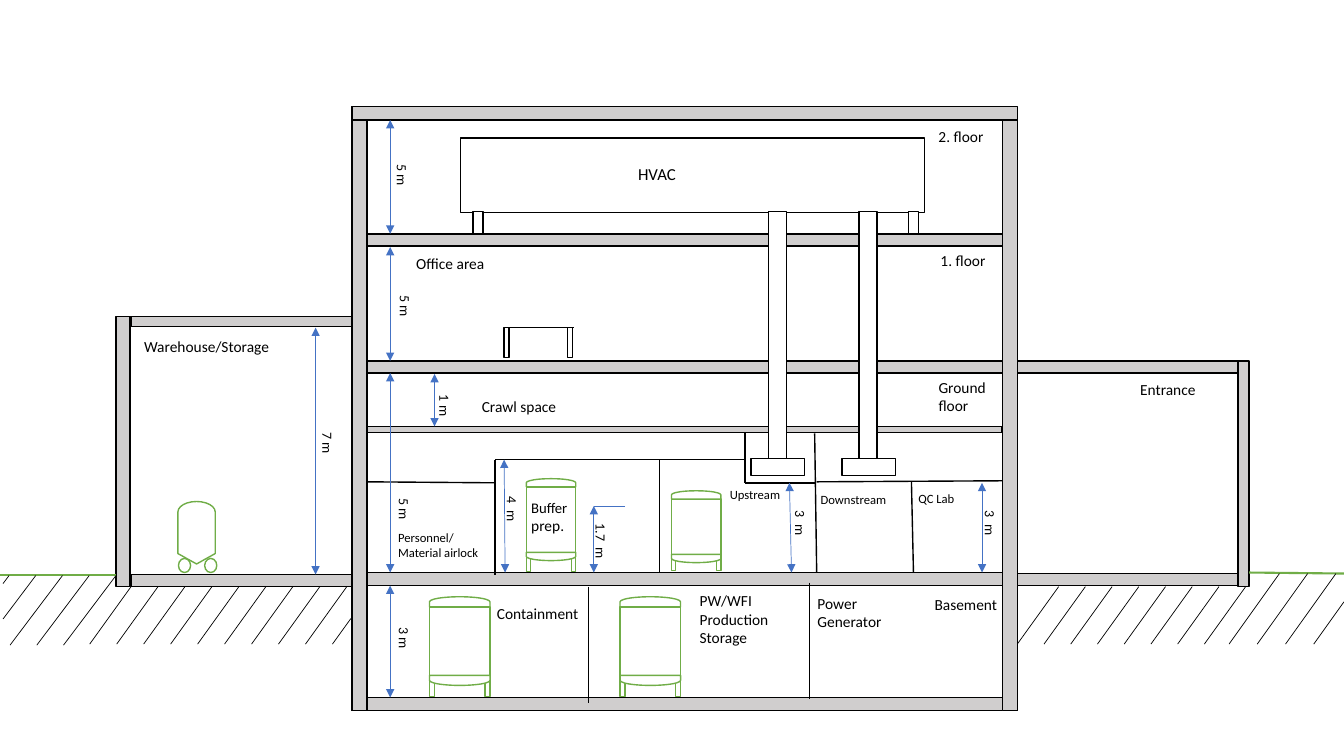
from itertools import pairwise

from lxml import etree
from pptx import Presentation
from pptx.dml.color import RGBColor
from pptx.enum import shapes, text
from pptx.oxml import ns
from pptx.util import Inches, Pt

BLACK = RGBColor(0, 0, 0)
WHITE = RGBColor(255, 255, 255)
CONCRETE = RGBColor(0xD0, 0xCE, 0xCE)
GREEN = RGBColor(0x70, 0xAD, 0x47)
BLUE = RGBColor(0x44, 0x72, 0xC4)
FONT = "Calibri"
KIND = shapes.MSO_SHAPE
PAGE_WIDTH, PAGE_HEIGHT = 13.33, 7.5

# Heights on the section, from the roof down
ROOF, SECOND_FLOOR, FIRST_FLOOR, CRAWL_FLOOR = 1.06, 2.32, 3.58, 4.23
GROUND_FLOOR, BASEMENT_FLOOR = 5.68, 6.92
WAREHOUSE_ROOF = 3.14
SLAB, THIN_SLAB = 0.13, 0.06
CRAWL_CEILING, GROUND_CEILING = FIRST_FLOOR + 0.12, CRAWL_FLOOR + 0.07
HIGH_CEILING, LOW_CEILING = 4.56, 4.79

# Places across the section
WALL = 0.15
OUTER_LEFT, OUTER_RIGHT = 3.49, 10.09
INNER_LEFT, INNER_RIGHT = OUTER_LEFT + WALL, OUTER_RIGHT - WALL
WAREHOUSE_LEFT, ENTRANCE_RIGHT = 1.15, 12.39
BUFFER_WALL, UPSTREAM_WALL, SHAFT_WALL = 4.91, 6.54, 7.39
DOWNSTREAM_WALL, LAB_WALL = 8.08, 9.04
CONTAINMENT_WALL, POWER_WALL = 5.84, 8.03

# left, top, right, bottom
CONCRETE_PARTS = {
    "base": (OUTER_LEFT, BASEMENT_FLOOR, OUTER_RIGHT, BASEMENT_FLOOR + SLAB),
    "left wall": (OUTER_LEFT, ROOF, INNER_LEFT, BASEMENT_FLOOR + SLAB),
    "ground floor": (INNER_LEFT, GROUND_FLOOR, OUTER_RIGHT, GROUND_FLOOR + SLAB),
    "first floor": (INNER_LEFT, FIRST_FLOOR, OUTER_RIGHT, CRAWL_CEILING),
    "crawl floor": (INNER_LEFT, CRAWL_FLOOR, INNER_RIGHT, CRAWL_FLOOR + THIN_SLAB),
    "second floor": (INNER_LEFT, SECOND_FLOOR, OUTER_RIGHT, SECOND_FLOOR + 0.12),
    "roof": (OUTER_LEFT, ROOF, OUTER_RIGHT, ROOF + SLAB),
    "right wall": (INNER_RIGHT, ROOF + SLAB, OUTER_RIGHT, BASEMENT_FLOOR + SLAB),
    "warehouse roof": (1.3, WAREHOUSE_ROOF, OUTER_LEFT, WAREHOUSE_ROOF + 0.1),
    "warehouse floor": (1.3, 5.7, OUTER_LEFT, 5.82),
    "warehouse wall": (WAREHOUSE_LEFT, WAREHOUSE_ROOF, 1.29, 5.82),
    "entrance roof": (OUTER_RIGHT, FIRST_FLOOR, 12.28, CRAWL_CEILING),
    "entrance floor": (OUTER_RIGHT, 5.69, 12.28, 5.81),
    "entrance wall": (12.28, FIRST_FLOOR, ENTRANCE_RIGHT, 5.82),
}

# Each wall or ceiling runs through its points
PARTITIONS = {
    "airlock ceiling": [(INNER_LEFT, 4.78), (BUFFER_WALL, LOW_CEILING)],
    "buffer and upstream": [
        (BUFFER_WALL, 5.7), (BUFFER_WALL, HIGH_CEILING), (UPSTREAM_WALL, HIGH_CEILING),
        (SHAFT_WALL, HIGH_CEILING), (SHAFT_WALL, LOW_CEILING), (DOWNSTREAM_WALL, LOW_CEILING)],
    "shaft": [(SHAFT_WALL, GROUND_CEILING), (SHAFT_WALL, HIGH_CEILING)],
    "upstream wall": [(UPSTREAM_WALL, HIGH_CEILING), (UPSTREAM_WALL, GROUND_FLOOR)],
    "downstream wall": [(DOWNSTREAM_WALL, GROUND_CEILING), (8.1, GROUND_FLOOR)],
    "lab wall": [(LAB_WALL, 4.78), (9.06, GROUND_FLOOR)],
    "lab ceiling": [(8.1, 4.78), (INNER_RIGHT, 4.77)],
    "containment wall": [(CONTAINMENT_WALL, 5.82), (CONTAINMENT_WALL, 6.97)],
    "power wall": [(POWER_WALL, 5.78), (POWER_WALL, 6.93)],
}

# body left, top, width and height, then where the legs end
TANKS = {
    "containment": (4.26, 6.02, 0.6, 0.68, 6.91),
    "buffer": (5.22, 4.83, 0.49, 0.65, 5.67),
    "upstream": (6.66, 4.95, 0.49, 0.55, 5.66),
    "water": (6.15, 6.02, 0.6, 0.68, 6.91),
}
DUCTS = [7.62, 8.52]

# words, arrow x at its top and foot, its top and foot, middle of the words
DIMENSIONS = [
    ("5 m", 3.87, 3.87, ROOF + SLAB, SECOND_FLOOR, 3.99, 1.86),
    ("5 m", 3.87, 3.87, 2.45, FIRST_FLOOR, 4.02, 3.16),
    ("1 m", 4.31, 4.31, 3.71, CRAWL_FLOOR, 4.41, 4.15),
    ("5 m", 3.87, 3.87, CRAWL_CEILING, GROUND_FLOOR, 4.01, 5.18),
    ("3 m", 3.87, 3.87, 5.81, BASEMENT_FLOOR, 4.01, 6.46),
    ("7 m", 3.13, 3.13, 3.25, 5.7, 3.25, 4.52),
    ("4  m", 5, 5.01, HIGH_CEILING, GROUND_FLOOR, 5.08, 5.16),
    ("1.7  m", 5.89, 5.89, 5.02, GROUND_FLOOR, 5.96, 5.43),
    ("3  m", 7.83, 7.85, LOW_CEILING, GROUND_FLOOR, 7.94, 5.3),
    ("3  m", 9.74, 9.74, LOW_CEILING, GROUND_FLOOR, 9.82, 5.3),
]

# size: words, left, top, width
LABELS = {
    9: [
        ("Upstream", 7.14, 4.78, 0.94),
        ("Downstream", 8.04, 4.83, 1.02),
        ("QC Lab", 9.01, 4.82, 1.02),
        ("Personnel/\nMaterial airlock", 3.85, 5.21, 1.38),
    ],
    11: [
        ("2. floor", 9.21, 1.21, 1.04),
        ("1. floor", 9.23, 2.44, 1.04),
        ("Ground\nfloor", 9.21, 3.7, 1.81),
        ("Basement", 9.17, 5.85, 1.48),
        ("Warehouse/Storage", 1.33, 3.3, 1.58),
        ("Entrance", 11.21, 3.72, 1.44),
        ("Office area", 4.03, 2.47, 1.02),
        ("Crawl space", 4.68, 3.89, 1.09),
        ("Containment", 4.83, 5.94, 1.06),
        ("PW/WFI\nProduction\nStorage", 6.84, 5.82, 1.06),
        ("Power Generator", 8.01, 5.84, 1.06),
    ],
    12: [("HVAC", 6.23, 1.58, 0.65)],
}
BUFFER_LABEL = [[("Buffer", 10.5), (" prep.", 11)]]

# first x, step, count, top, run to the left, drop, left and right limits
HATCHING = {
    "left earth": (0.09, 0.265, 5, 5.71, 0.52, 0.69, 0.03, WAREHOUSE_LEFT),
    "under warehouse": (1.3, 0.2675, 10, 5.82, 0.41, 0.57, 0, 3.48),
    "under entrance": (10.5, 0.265, 8, 5.82, 0.41, 0.57, OUTER_RIGHT, ENTRANCE_RIGHT),
    "right earth": (12.69, 0.28, 4, 5.69, 0.5, 0.7, OUTER_RIGHT, PAGE_WIDTH),
}

deck = Presentation()
deck.slide_width, deck.slide_height = Inches(PAGE_WIDTH), Inches(PAGE_HEIGHT)
page = deck.slides.add_slide(deck.slide_layouts[6])


def add_part(owner, frame, outline=BLACK, fill=WHITE, kind=KIND.RECTANGLE, turn=0):
    part = owner.shapes.add_shape(kind, *map(Inches, frame))
    part.shadow.inherit = False
    part.fill.solid()
    part.fill.fore_color.rgb = fill
    part.line.color.rgb = outline
    part.line.width = Pt(1)
    part.rotation = turn


def add_line(owner, start, end, color=BLACK, width=1, arrows=False):
    line = owner.shapes.add_connector(
        shapes.MSO_CONNECTOR.STRAIGHT, *map(Inches, (*start, *end)))
    line.line.color.rgb = color
    line.line.width = Pt(width)
    if arrows:
        outline = line.line._get_or_add_ln()
        for tag in ("a:headEnd", "a:tailEnd"):
            etree.SubElement(outline, ns.qn(tag), type="triangle")
    etree.SubElement(line._element.spPr, ns.qn("a:effectLst"))


def add_label(paragraphs, left, top, width, turn=0):
    """Add paragraphs of (words, size) runs in a box as tall as its lines."""
    height = 0.1 + sum(runs[0][1] * 1.22 / 72 for runs in paragraphs)
    box = page.shapes.add_textbox(*map(Inches, (left, top, width, height)))
    box.rotation = turn
    frame = box.text_frame
    frame.word_wrap = True
    frame.auto_size = text.MSO_AUTO_SIZE.SHAPE_TO_FIT_TEXT
    for index, runs in enumerate(paragraphs):
        para = frame.add_paragraph() if index else frame.paragraphs[0]
        for words, size in runs:
            span = para.add_run()
            span.text = words
            span.font.name = FONT
            span.font.size = Pt(size)
            span.font.color.rgb = BLACK


def add_tank(left, top, width, height, floor):
    """Draw legs, body and the two rounded ends, which are quarter-turned."""
    tank = page.shapes.add_group_shape()
    bottom, cap, leg = top + height, width / 6, width / 12
    for leg_left in (left, left + width - leg):
        add_part(tank, (leg_left, bottom - 0.07, leg, floor - bottom + 0.07), GREEN)
    add_part(tank, (left, top, width, height), GREEN)
    for middle, turn in ((top - cap / 2, 270), (bottom + cap / 2, 90)):
        frame = (left + (width - cap) / 2, middle - width / 2, cap, width)
        add_part(tank, frame, GREEN, kind=KIND.FLOWCHART_DELAY, turn=turn)


def add_hatching(first, step, count, top, run, drop, left_limit, right_limit):
    """Draw equal slanting strokes, each cut off at the two limits."""
    for index in range(count):
        x = first + index * step
        begin = max(0, (x - right_limit) / run)
        finish = min(1, (x - left_limit) / run)
        start, end = ((x - run * part, top + drop * part) for part in (begin, finish))
        add_line(page, start, end, width=0.5)


for left, top, right, bottom in CONCRETE_PARTS.values():
    add_part(page, (left, top, right - left, bottom - top), fill=CONCRETE)
for tank_sizes in TANKS.values():
    add_tank(*tank_sizes)

# Air handling unit on two feet, with a diffuser centred under each duct
add_part(page, (4.57, 1.37, 4.6, 0.74))
for foot_left in (4.69, 9.01):
    add_part(page, (foot_left, 2.1, 0.1, 0.22))
for duct_left in DUCTS:
    add_part(page, (duct_left, 2.1, 0.18, 2.45))
    add_part(page, (duct_left - 0.17, 4.55, 0.53, 0.17))

# Wheeled vessel in the warehouse
for wheel_left in (1.77, 2.03):
    add_part(page, (wheel_left, 5.54, 0.12, 0.14), GREEN, kind=KIND.FLOWCHART_CONNECTOR)
add_part(page, (1.64, 5.1, 0.62, 0.37), GREEN, kind=KIND.FLOWCHART_DISPLAY, turn=270)

desk = page.shapes.add_group_shape()
add_line(desk, (5, 3.25), (5.69, 3.25), width=0.75)
for leg_left in (5, 5.63):
    add_part(desk, (leg_left, 3.25, 0.05, 0.3))

for points in PARTITIONS.values():
    for start, end in pairwise(points):
        add_line(page, start, end)
add_line(page, (0, 5.7), (WAREHOUSE_LEFT, 5.7), GREEN, 1.5)
add_line(page, (ENTRANCE_RIGHT, 5.68), (PAGE_WIDTH, 5.69), GREEN, 1.5)
for row in HATCHING.values():
    add_hatching(*row)

for words, top_x, foot_x, top, foot, middle_x, middle_y in DIMENSIONS:
    add_line(page, (foot_x, foot), (top_x, top), BLUE, 0.5, arrows=True)
    add_label([[(words, 10)]], middle_x - 0.33, middle_y - 0.135, 0.66, turn=90)
add_line(page, (6.2, 5.02), (5.89, 5.02), BLUE, 0.5)

for size, labels in LABELS.items():
    for words, *place in labels:
        add_label([[(line, size)] for line in words.split("\n")], *place)
add_label(BUFFER_LABEL, 5.17, 4.89, 0.61)

deck.save("out.pptx")
